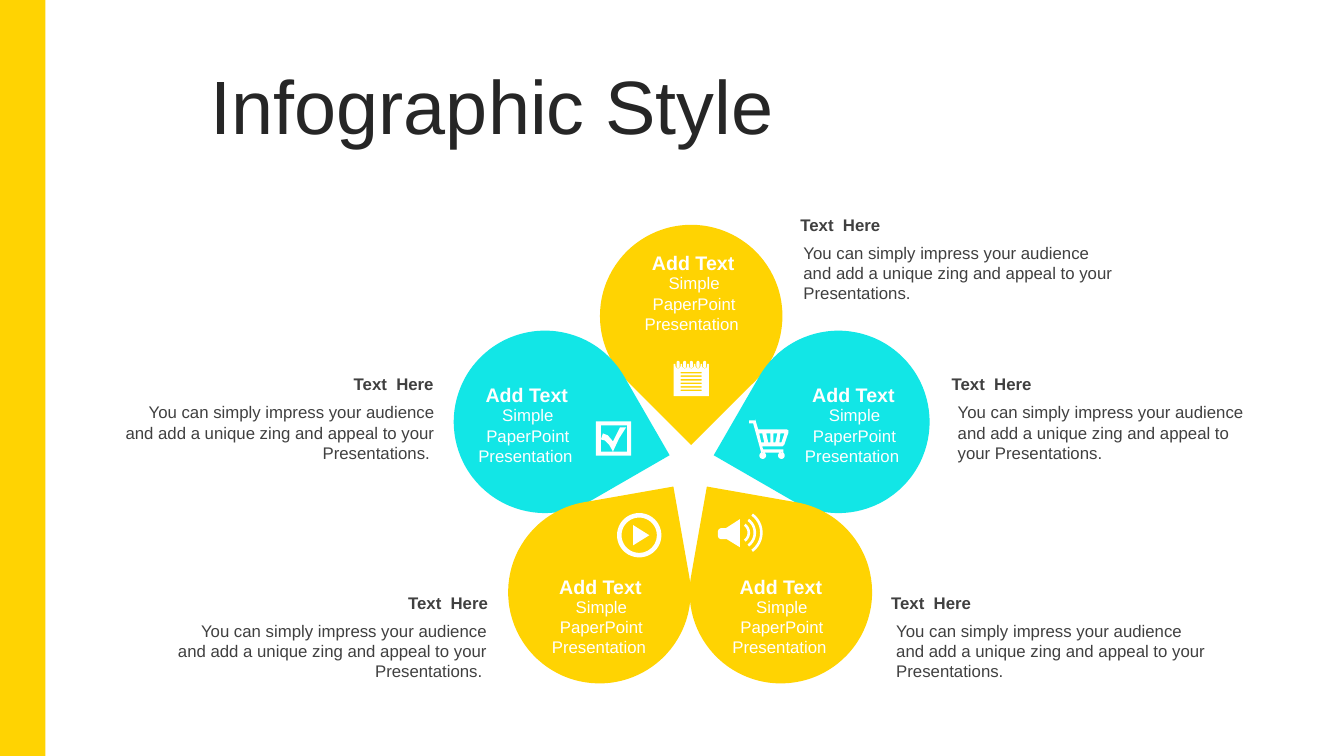
from dataclasses import dataclass
from math import cos, radians, sin

from pptx import Presentation
from pptx.dml.color import RGBColor
from pptx.enum.shapes import MSO_SHAPE as Shape
from pptx.enum.text import MSO_ANCHOR as Anchor, MSO_AUTO_SIZE as Fit, PP_ALIGN as Align
from pptx.util import Emu, Pt

PX = 9144  # 100 px to the inch
FONT = "Arial"
GOLD, AQUA, WHITE = "FFD302", "12E6E6", "FFFFFF"
INK, DARK = "404040", "262626"
NOTE = "You can simply impress your audience and add a unique zing and appeal to your Presentations."
LABEL = "Simple PaperPoint Presentation "

Point = tuple[float, float]
Ring = list[Point]


@dataclass
class Petal:
    x: int
    y: int
    turn: int
    color: str
    text_x: int
    text_y: int


@dataclass
class Callout:
    x: int
    y: int
    width: int
    shift: int
    align: Align = Align.LEFT


PETALS = [
    Petal(595, 223, 135, GOLD, 617, 244),
    Petal(741, 328, 210, AQUA, 776, 375),
    Petal(684, 497, 280, GOLD, 704, 565),
    Petal(450, 328, 60, AQUA, 452, 375),
    Petal(504, 497, 350, GOLD, 525, 565),
]
CALLOUTS = [
    Callout(784, 208, 336, 3),
    Callout(934, 366, 330, 6),
    Callout(874, 583, 333, 5),
    Callout(161, 583, 333, 4, Align.RIGHT),
    Callout(108, 366, 332, 6, Align.RIGHT),
]


def px(n: float) -> Emu:
    return Emu(round(n * PX))


def rgb(code: str) -> RGBColor:
    return RGBColor.from_string(code)


def paint(shape, color: str) -> None:
    shape.shadow.inherit = False
    shape.fill.solid()
    shape.fill.fore_color.rgb = rgb(color)
    shape.line.fill.background()


def write(par, text: str, size: int, color: str, bold: bool, align: Align) -> None:
    par.alignment = align
    run = par.add_run()
    run.text = text
    font = run.font
    font.name, font.size, font.bold = FONT, Pt(size), bold
    font.color.rgb = rgb(color)


def add_text(shapes, x: int, y: int, w: int, h: int, text: str, size: int,
             color: str, align: Align, bold: bool = False) -> None:
    frame = shapes.add_textbox(px(x), px(y), px(w), px(h)).text_frame
    frame.word_wrap = True
    frame.auto_size = Fit.SHAPE_TO_FIT_TEXT
    write(frame.paragraphs[0], text, size, color, bold, align)


def add_petal(shapes, petal: Petal) -> None:
    drop = shapes.add_shape(Shape.TEAR, px(petal.x), px(petal.y), px(181), px(181))
    drop.rotation = petal.turn
    paint(drop, petal.color)


def add_label(shapes, petal: Petal) -> None:
    x, y = petal.text_x, petal.text_y
    add_text(shapes, x, y, 141, 34, "Add Text", 14, WHITE, Align.CENTER, True)
    add_text(shapes, x + 1, y + 22, 141, 71, LABEL, 12, WHITE, Align.CENTER)


def add_callout(shapes, call: Callout) -> None:
    tail = " " if call.align == Align.RIGHT else ""
    add_text(shapes, call.x + call.shift, call.y + 28, call.width - 5, 71,
             NOTE + tail, 12, INK, call.align)
    add_text(shapes, call.x, call.y, call.width, 30, "Text  Here", 12, INK, call.align, True)


def arc(x: float, y: float, r: float, start: int, end: int, steps: int = 12) -> Ring:
    """Points clockwise from the right, in degrees."""
    turns = [radians(start + (end - start) * i / steps) for i in range(steps + 1)]
    return [(x + r * cos(t), y + r * sin(t)) for t in turns]


def disc(x: float, y: float, r: float) -> Ring:
    return arc(x, y, r, 0, 360, 48)


def box(x: float, y: float, w: float, h: float) -> Ring:
    return [(x, y), (x + w, y), (x + w, y + h), (x, y + h)]


def add_icon(shapes, rings: list[Ring]) -> None:
    """One white outline; inner rings become holes."""
    paths = [[(px(x), px(y)) for x, y in ring] for ring in rings]
    pen = shapes.build_freeform(*paths[0][0], scale=1.0)
    for i, path in enumerate(paths):
        if i:
            pen.move_to(*path[0])
        pen.add_line_segments(path[1:], close=True)
    paint(pen.convert_to_shape(), WHITE)


def notepad() -> list[Ring]:
    page: Ring = [(668, 361)]
    pins = []
    for i in range(5):
        x = 672.5 + 6.6 * i
        page += [(x - 2.5, 361), *arc(x, 363, 2.5, 180, 0), (x + 2.5, 361)]
        pins.append(arc(x, 359.5, 1.5, 180, 360) + arc(x, 363.5, 1.5, 0, 180))
    page += [(703, 361), (703, 393), (668, 393)]
    rows = [box(675, 369 + 3.5 * i, 21, 1.5) for i in range(6)]
    return [page, *rows, *pins]


def check() -> list[Ring]:
    hole = [(596, 422), (596, 448), (608, 448), (604, 441), (600, 437), (596, 436),
            (598, 430), (603, 432), (608, 438), (615, 424), (621, 424), (614, 435),
            (608, 448), (622, 448), (622, 422)]
    return [box(591, 418, 35, 34), hole]


def cart() -> list[Ring]:
    frame = [(749, 416), (752, 426), (780, 426), (782, 427), (782, 429), (778, 441),
             (776, 443), (756, 443), (757, 446), (777, 446), (777, 449), (755, 449),
             (747, 420), (743, 420), (743, 417), (749, 417)]
    gaps = [[(774, 430), (773, 439), (775, 439), (778, 430)],
            [(767, 430), (767, 439), (769, 439), (771, 430)],
            [(760, 430), (762, 439), (764, 439), (764, 430)],
            [(753, 430), (755, 439), (758, 439), (756, 430)]]
    return [frame, *gaps, *[disc(x, 452, 3.3) for x in (756.5, 775)]]


def speaker() -> list[Ring]:
    horn = [(734, 515), (734, 543), (721, 535), (715, 535), (713, 534), (712, 532),
            (712, 527), (713, 525), (715, 524), (720, 524)]
    waves = [arc(733, 528.5, r, -54, 54) + arc(733, 528.5, r - 2.6, 54, -54)
             for r in (11, 17, 23.5)]
    return [horn, *waves]


def play() -> list[Ring]:
    return [disc(634, 531, 22), disc(634, 531, 17.5), [(628, 521), (644, 531), (628, 541)]]


def main() -> None:
    deck = Presentation()
    deck.slide_width, deck.slide_height = px(1333), px(750)
    slide = deck.slides.add_slide(deck.slide_layouts[5])
    shapes = slide.shapes

    title = shapes.title
    title.left, title.top, title.width, title.height = px(199), px(70), px(1093), px(79)
    frame = title.text_frame
    frame.word_wrap = True
    frame.auto_size = Fit.NONE
    frame.vertical_anchor = Anchor.MIDDLE
    frame.paragraphs[0].line_spacing = 0.9
    write(frame.paragraphs[0], "Infographic Style", 54, DARK, False, Align.LEFT)

    paint(shapes.add_shape(Shape.RECTANGLE, 0, 0, px(45), px(750)), GOLD)
    for call in CALLOUTS:
        add_callout(shapes.add_group_shape().shapes, call)
    flower = shapes.add_group_shape().shapes
    for draw in (add_petal, add_label):
        for petal in PETALS:
            draw(flower, petal)
    for icon in (notepad, check, cart, speaker, play):
        add_icon(shapes, icon())
    deck.save("out.pptx")


if __name__ == "__main__":
    main()
